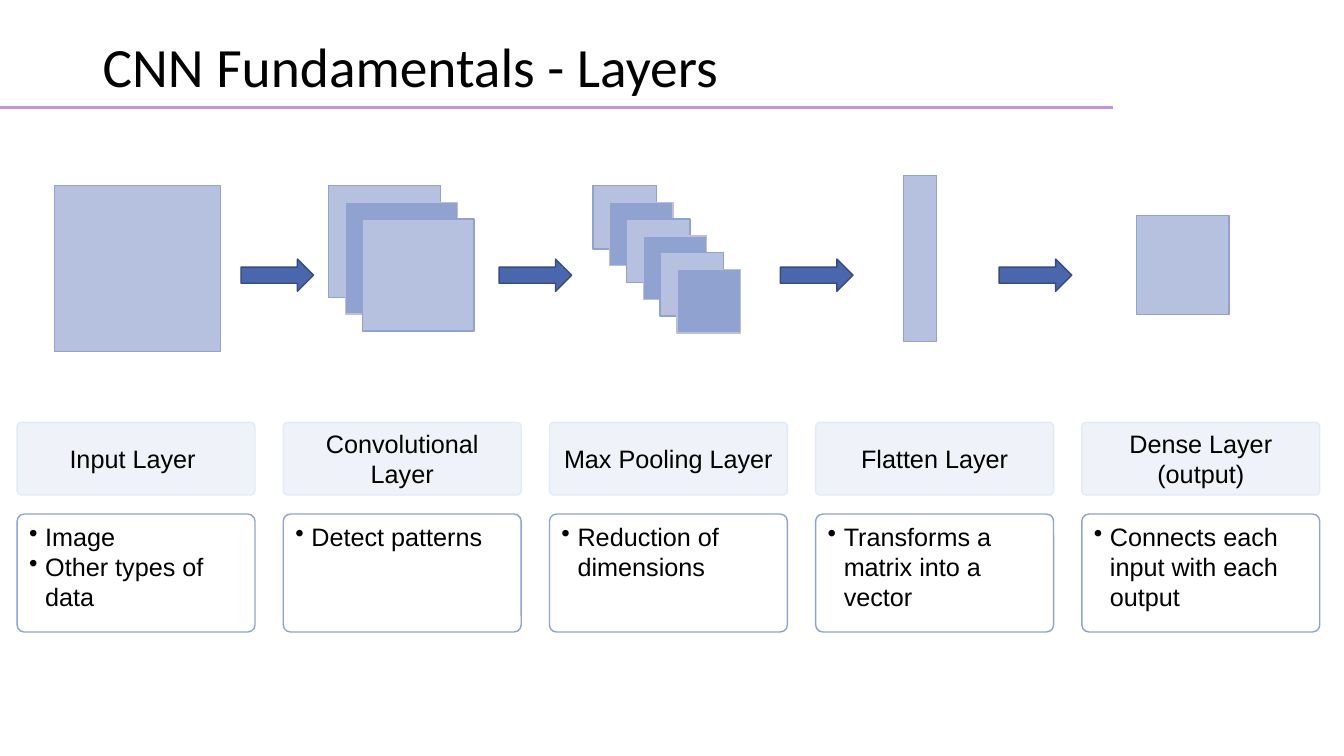
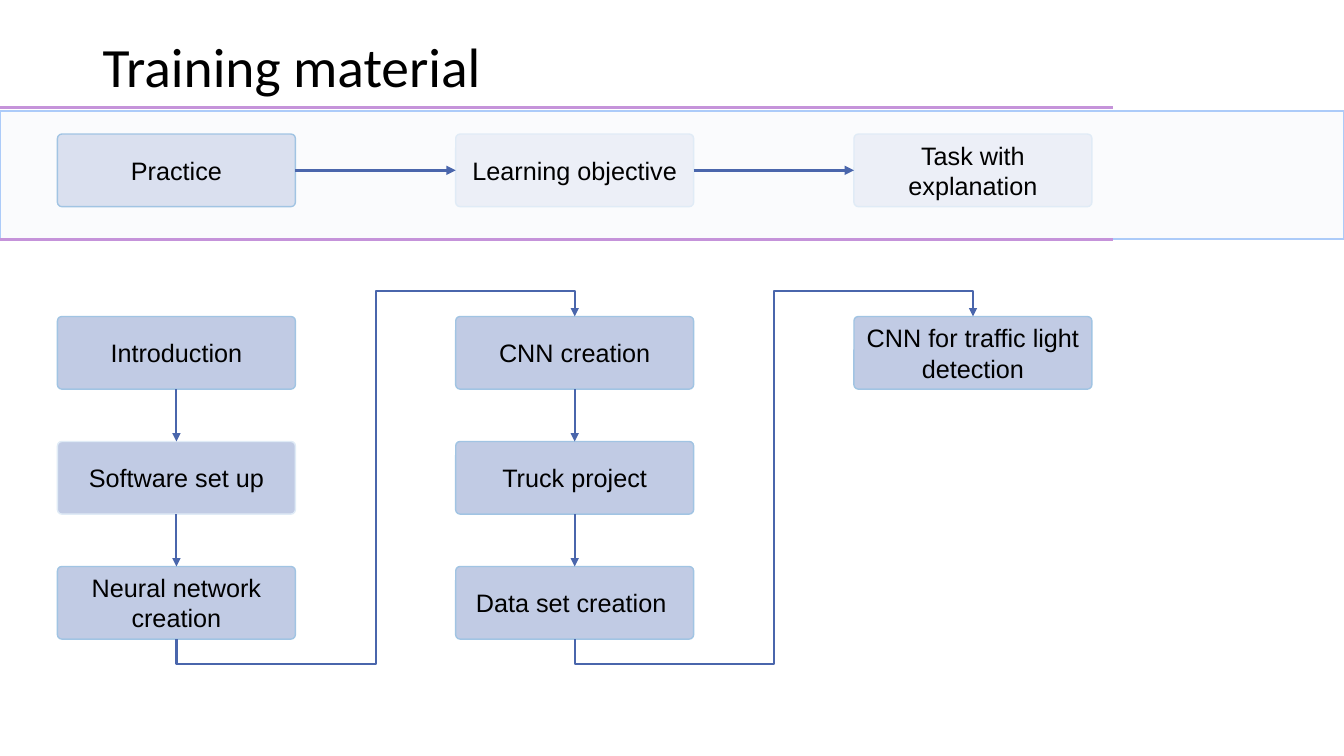
from dataclasses import dataclass
from itertools import pairwise

from lxml import etree
from pptx import Presentation
from pptx.dml.color import RGBColor
from pptx.enum import shapes, text
from pptx.oxml import ns
from pptx.util import Inches, Pt

BLACK = RGBColor(0x00, 0x00, 0x00)
RULE = RGBColor(0xC5, 0x93, 0xDA)
PALE = RGBColor(0xDA, 0xE0, 0xEF)
PALE_EDGE = RGBColor(0xE0, 0xEB, 0xF6)
SKY_EDGE = RGBColor(0xA1, 0xC4, 0xE3)
BAND_EDGE = RGBColor(0xAC, 0xCB, 0xF9)
LIGHT = RGBColor(0xB5, 0xC1, 0xDF)
MEDIUM = RGBColor(0x90, 0xA2, 0xCF)
LILAC_EDGE = RGBColor(0xBB, 0xBE, 0xE1)
STRONG = RGBColor(0x4A, 0x66, 0xAC)
STRONG_EDGE = RGBColor(0x37, 0x4B, 0x7F)

SLIDE_WIDTH = 13.33
BOX_WIDTH, BOX_HEIGHT = 2.36, 0.72
TOP_SITE, LEFT_SITE, BOTTOM_SITE, RIGHT_SITE = range(4)


@dataclass(frozen=True)
class BoxStyle:
    fill: RGBColor | None
    edge: RGBColor
    opacity: int = 100


@dataclass(frozen=True)
class Layer:
    name: str
    notes: tuple[str, ...]


@dataclass(frozen=True)
class Stack:
    """Squares of one layer, each set a step right of and below the last."""
    left: float
    top: float
    width: float
    height: float
    count: int = 1


SOFT = BoxStyle(PALE, PALE_EDGE, 41)
CURRENT = BoxStyle(PALE, SKY_EDGE)
TOPIC = BoxStyle(LIGHT, SKY_EDGE, 83)
SETUP = BoxStyle(LIGHT, PALE_EDGE, 83)
OUTLINE = BoxStyle(None, MEDIUM)
BAND = BoxStyle(MEDIUM, BAND_EDGE, 4)
ARROW = BoxStyle(STRONG, STRONG_EDGE)
SQUARES = (BoxStyle(LIGHT, MEDIUM), BoxStyle(MEDIUM, LILAC_EDGE))

LAYERS = (
    Layer("Input Layer ", ("Image", "Other types of data")),
    Layer("Convolutional Layer", ("Detect patterns",)),
    Layer("Max Pooling Layer", ("Reduction of dimensions",)),
    Layer("Flatten Layer", ("Transforms a matrix into a vector",)),
    Layer("Dense Layer (output)", ("Connects each input with each output",)),
)
STACKS = (
    Stack(0.54, 1.84, 1.65, 1.65),
    Stack(3.26, 1.84, 1.11, 1.11, 3),
    Stack(5.88, 1.84, 0.63, 0.63, 6),
    Stack(8.96, 1.74, 0.33, 1.65),
    Stack(11.27, 2.14, 0.92, 0.98),
)
STACK_STEP = 1 / 6
ARROW_LEFTS = (2.39, 4.95, 7.74, 9.91)

STAGES = (("Practice", CURRENT), ("Learning objective", SOFT), ("Task with explanation", SOFT))
TOPIC_COLUMNS = (
    (("Introduction", TOPIC), ("Software set up", SETUP), ("Neural network creation", TOPIC)),
    (("CNN creation", TOPIC), ("Truck project", TOPIC), ("Data set creation ", TOPIC)),
    (("CNN for traffic light detection", TOPIC),),
)
COLUMN_LEFT, COLUMN_STEP = 0.57, 3.95
ROW_TOP, ROW_STEP = 3.14, 1.24


def add_shape(slide, kind, left: float, top: float, width: float, height: float, style: BoxStyle):
    shape = slide.shapes.add_shape(kind, Inches(left), Inches(top), Inches(width), Inches(height))
    shape.shadow.inherit = False
    shape.line.color.rgb = style.edge
    shape.line.width = Pt(1)
    if style.fill is None:
        shape.fill.background()
        return shape
    shape.fill.solid()
    shape.fill.fore_color.rgb = style.fill
    if style.opacity < 100:
        color = shape.fill._xPr.find(".//" + ns.qn("a:srgbClr"))
        etree.SubElement(color, ns.qn("a:alpha"), val=str(style.opacity * 1000))
    return shape


def add_round_box(slide, left: float, top: float, width: float, height: float, style: BoxStyle,
                  lines: tuple[str, ...], bulleted: bool = False):
    box = add_shape(slide, shapes.MSO_SHAPE.ROUNDED_RECTANGLE, left, top, width, height, style)
    box.adjustments[0] = 0.06
    frame = box.text_frame
    frame.word_wrap = True
    frame.vertical_anchor = text.MSO_ANCHOR.TOP if bulleted else text.MSO_ANCHOR.MIDDLE
    frame.text = "\n".join(lines)
    for paragraph in frame.paragraphs:
        paragraph.alignment = text.PP_ALIGN.LEFT if bulleted else text.PP_ALIGN.CENTER
        if bulleted:
            properties = paragraph._p.get_or_add_pPr()
            properties.set("marL", str(Inches(0.16)))
            properties.set("indent", str(Inches(-0.16)))
            etree.SubElement(properties, ns.qn("a:buChar"), char="•")
        paragraph.font.name = "Arial"
        paragraph.font.size = Pt(18)
        paragraph.font.color.rgb = BLACK
    return box


def add_label(slide, left: float, top: float, style: BoxStyle, label: str):
    return add_round_box(slide, left, top, BOX_WIDTH, BOX_HEIGHT, style, (label,))


def add_line(slide, color: RGBColor, width: float, x1: float = 0, y1: float = 0,
             x2: float = 0, y2: float = 0):
    line = slide.shapes.add_connector(
        shapes.MSO_CONNECTOR.STRAIGHT, Inches(x1), Inches(y1), Inches(x2), Inches(y2))
    line.line.color.rgb = color
    line.line.width = Pt(width)
    etree.SubElement(line._element.spPr, ns.qn("a:effectLst"))
    return line


def link(slide, start, start_site: int, end, end_site: int, width: float = 1.5):
    """Join two boxes with an arrow."""
    line = add_line(slide, STRONG, width)
    line.begin_connect(start, start_site)
    line.end_connect(end, end_site)
    etree.SubElement(line.line._get_or_add_ln(), ns.qn("a:tailEnd"), type="triangle")
    return line


def link_columns(slide, start, end) -> None:
    """Join the foot of one column to the head of the next, round both boxes."""
    line = link(slide, start, BOTTOM_SITE, end, TOP_SITE)
    center_x = line.left + line.width // 2
    center_y = line.top + line.height // 2
    line.width, line.height = line.height, line.width
    line.left = center_x - line.width // 2
    line.top = center_y - line.height // 2
    properties = line._element.spPr
    transform = properties.find(ns.qn("a:xfrm"))
    for name, value in (("rot", "5400000"), ("flipH", "1"), ("flipV", "1")):
        transform.set(name, value)
    geometry = properties.find(ns.qn("a:prstGeom"))
    geometry.set("prst", "bentConnector5")
    guides = geometry.find(ns.qn("a:avLst"))
    for number, value in enumerate((-7800, 50000, 107800), 1):
        etree.SubElement(guides, ns.qn("a:gd"), name=f"adj{number}", fmla=f"val {value}")


def add_titled_slide(presentation, title: str):
    slide = presentation.slides.add_slide(presentation.slide_layouts[6])
    add_line(slide, RULE, 2, 0, 1.07, 11.04, 1.07)
    box = slide.shapes.add_textbox(Inches(0.92), Inches(0.33), Inches(11.5), Inches(0.72))
    frame = box.text_frame
    frame.word_wrap = True
    frame.vertical_anchor = text.MSO_ANCHOR.MIDDLE
    frame.text = title
    paragraph = frame.paragraphs[0]
    paragraph.line_spacing = 0.9
    paragraph.font.name = "Calibri"
    paragraph.font.size = Pt(39.6)
    paragraph.font.color.rgb = BLACK
    return slide


def build_layers_slide(presentation) -> None:
    slide = add_titled_slide(presentation, "CNN Fundamentals - Layers")
    for index, layer in enumerate(LAYERS):
        left = 0.17 + 2.64 * index
        add_label(slide, left, 4.19, SOFT, layer.name)
        add_round_box(slide, left, 5.1, BOX_WIDTH, 1.17, OUTLINE, layer.notes, bulleted=True)
    for stack in STACKS:
        for index in range(stack.count):
            shift = index * STACK_STEP
            add_shape(slide, shapes.MSO_SHAPE.RECTANGLE, stack.left + shift, stack.top + shift,
                      stack.width, stack.height, SQUARES[index % 2])
    for left in ARROW_LEFTS:
        add_shape(slide, shapes.MSO_SHAPE.RIGHT_ARROW, left, 2.57, 0.72, 0.32, ARROW)


def build_training_slide(presentation) -> None:
    slide = add_titled_slide(presentation, "Training material")
    add_shape(slide, shapes.MSO_SHAPE.RECTANGLE, 0, 1.1, SLIDE_WIDTH, 1.27, BAND)
    add_line(slide, RULE, 2.25, 0, 2.38, 11.04, 2.38)
    stages = [add_label(slide, COLUMN_LEFT + COLUMN_STEP * index, 1.33, style, label)
              for index, (label, style) in enumerate(STAGES)]
    for start, end in pairwise(stages):
        link(slide, start, RIGHT_SITE, end, LEFT_SITE, 2.25)

    columns = [
        [add_label(slide, COLUMN_LEFT + COLUMN_STEP * column, ROW_TOP + ROW_STEP * row, style, label)
         for row, (label, style) in enumerate(topics)]
        for column, topics in enumerate(TOPIC_COLUMNS)
    ]
    for boxes in columns:
        for start, end in pairwise(boxes):
            link(slide, start, BOTTOM_SITE, end, TOP_SITE)
    for boxes, next_boxes in pairwise(columns):
        link_columns(slide, boxes[-1], next_boxes[0])


def main() -> None:
    presentation = Presentation()
    presentation.slide_width = Inches(SLIDE_WIDTH)
    presentation.slide_height = Inches(7.5)
    build_layers_slide(presentation)
    build_training_slide(presentation)
    presentation.save("out.pptx")


if __name__ == "__main__":
    main()
